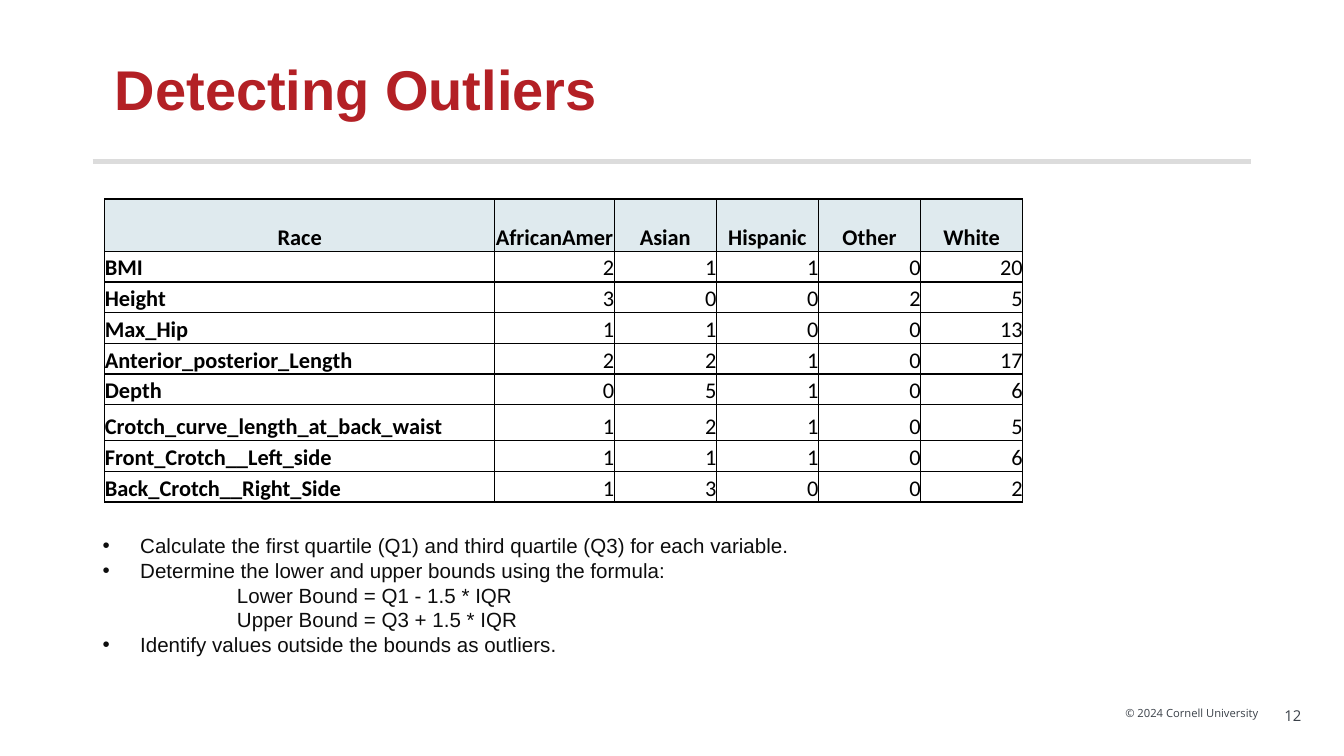
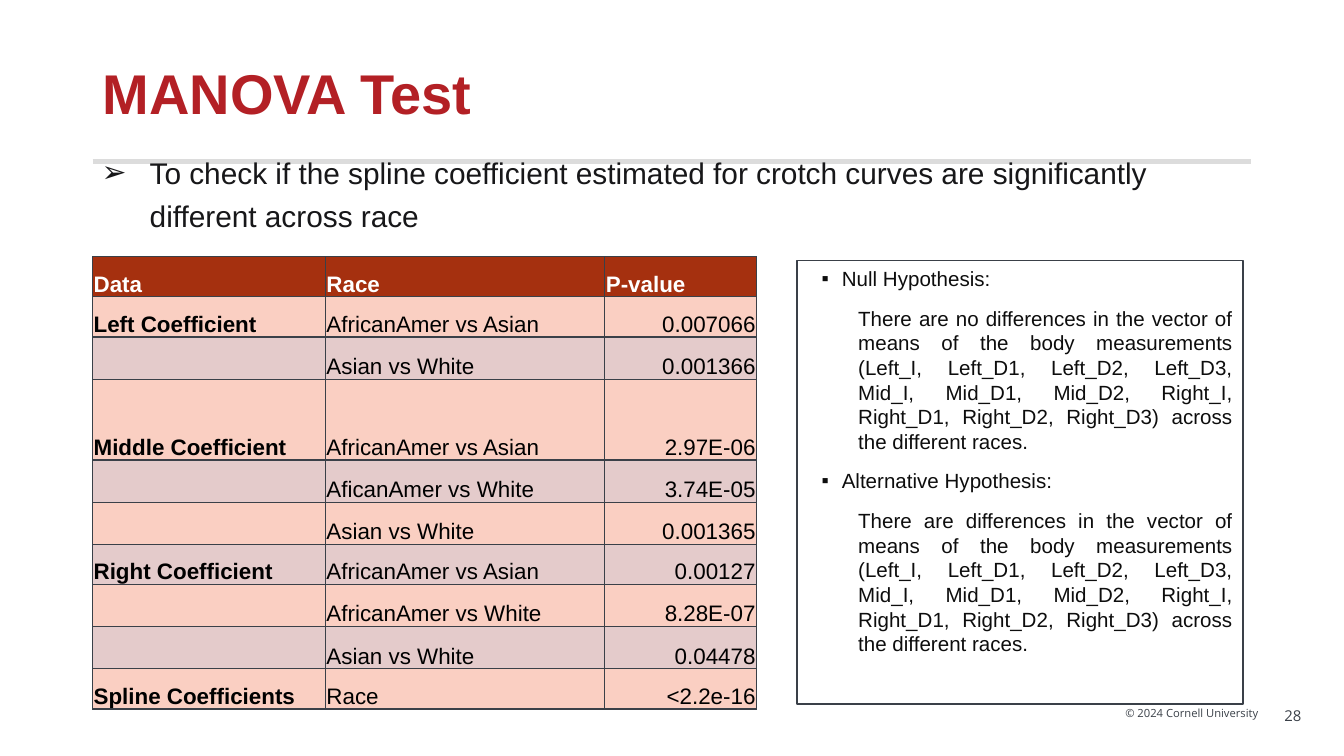
from lxml import etree
from pptx import Presentation
from pptx.dml.color import RGBColor
from pptx.enum.shapes import MSO_CONNECTOR, MSO_SHAPE
from pptx.enum.text import MSO_ANCHOR, MSO_AUTO_SIZE, PP_ALIGN
from pptx.oxml.ns import qn
from pptx.util import Cm, Pt

LEFT, CENTER, RIGHT = PP_ALIGN.LEFT, PP_ALIGN.CENTER, PP_ALIGN.RIGHT
JUSTIFY = PP_ALIGN.JUSTIFY
TOP, MIDDLE, BOTTOM = MSO_ANCHOR.TOP, MSO_ANCHOR.MIDDLE, MSO_ANCHOR.BOTTOM
NO_AUTOSIZE = MSO_AUTO_SIZE.NONE
STRAIGHT = MSO_CONNECTOR.STRAIGHT
RECTANGLE = MSO_SHAPE.RECTANGLE
TITLE_ONLY = 5

COLORS = {
    "title": "B32025",
    "rule": "DCDCDC",
    "slate": "3A4048",
    "body": "0D0D0D",
    "lead": "171719",
    "black": "000000",
    "white": "FFFFFF",
    "pale blue": "DFEAEE",
    "rust": "A5300F",
    "peach": "FACFC2",
    "rose": "E4CBCB",
}

OUTLIERS = [
    ["Race", "AfricanAmer", "Asian", "Hispanic", "Other", "White"],
    ["BMI", 2, 1, 1, 0, 20],
    ["Height", 3, 0, 0, 2, 5],
    ["Max_Hip", 1, 1, 0, 0, 13],
    ["Anterior_posterior_Length", 2, 2, 1, 0, 17],
    ["Depth", 0, 5, 1, 0, 6],
    ["Crotch_curve_length_at_back_waist", 1, 2, 1, 0, 5],
    ["Front_Crotch__Left_side", 1, 1, 1, 0, 6],
    ["Back_Crotch__Right_Side", 1, 3, 0, 0, 2],
]
P_VALUES = [
    ["Data", "Race", "P-value"],
    ["Left Coefficient", "AfricanAmer vs Asian", "0.007066"],
    ["", "Asian vs White", "0.001366"],
    ["Middle Coefficient", "AfricanAmer vs Asian", "2.97E-06"],
    ["", "AficanAmer vs White", "3.74E-05"],
    ["", "Asian vs White", "0.001365"],
    ["Right Coefficient", "AfricanAmer vs Asian", "0.00127"],
    ["", "AfricanAmer vs White", "8.28E-07"],
    ["", "Asian vs White", "0.04478"],
    ["Spline Coefficients", "Race", "<2.2e-16"],
]
MEASUREMENTS = (
    "differences in the vector of means of the body measurements "
    "(Left_I, Left_D1, Left_D2, Left_D3, Mid_I, Mid_D1, Mid_D2, Right_I, "
    "Right_D1, Right_D2, Right_D3) across the different races."
)


def rgb(name):
    return RGBColor.from_string(COLORS[name])


def add_bullet(paragraph, character, color):
    properties = paragraph._p.get_or_add_pPr()
    bullet_color = etree.SubElement(properties, qn("a:buClr"))
    etree.SubElement(bullet_color, qn("a:srgbClr"), val=COLORS[color])
    etree.SubElement(properties, qn("a:buFont"), typeface="Arial")
    etree.SubElement(properties, qn("a:buChar"), char=character)


def write(paragraph, text, size=11, font="Arial", color="body", bold=False,
          align=LEFT, bullet=None, indent=0, hanging=0, before=0, spacing=None):
    """Fill one paragraph; indent and hanging are in centimetres."""
    if bullet:
        add_bullet(paragraph, bullet, color)
    if indent:
        properties = paragraph._p.get_or_add_pPr()
        properties.set("marL", str(Cm(indent)))
        properties.set("indent", str(-Cm(hanging)))
    paragraph.alignment = align
    paragraph.space_before = Pt(before)
    if spacing:
        paragraph.line_spacing = spacing
    run = paragraph.add_run()
    run.text = str(text)
    run.font.size = Pt(size)
    run.font.name = font
    run.font.bold = bold
    run.font.color.rgb = rgb(color)


def prepare_frame(shape, anchor=TOP):
    frame = shape.text_frame
    frame.word_wrap = True
    frame.auto_size = NO_AUTOSIZE
    frame.vertical_anchor = anchor
    frame.margin_left = frame.margin_right = Cm(0.19)
    frame.margin_top = frame.margin_bottom = Cm(0.1)
    return frame


def write_paragraphs(frame, entries, **shared):
    """Write (text, format) pairs, each format added to the shared one."""
    for index, (text, style) in enumerate(entries):
        paragraph = frame.paragraphs[0] if index == 0 else frame.add_paragraph()
        settings = {**shared, **style}
        if index == 0:
            settings["before"] = 0
        write(paragraph, text, **settings)


def add_text_box(slide, left, top, width, height, entries, **shared):
    box = slide.shapes.add_textbox(Cm(left), Cm(top), Cm(width), Cm(height))
    write_paragraphs(prepare_frame(box), entries, **shared)


def add_framed_text(slide, left, top, width, height, entries, **shared):
    shape = slide.shapes.add_shape(RECTANGLE, Cm(left), Cm(top), Cm(width), Cm(height))
    shape.shadow.inherit = False
    shape.fill.background()
    shape.line.color.rgb = rgb("slate")
    shape.line.width = Pt(0.75)
    write_paragraphs(prepare_frame(shape), entries, **shared)


def add_rule(slide):
    line = slide.shapes.add_connector(STRAIGHT, Cm(1.75), Cm(3.05), Cm(23.65), Cm(3.05))
    line.line.color.rgb = rgb("rule")
    line.line.width = Pt(3)
    etree.SubElement(line._element.spPr, qn("a:effectLst"))


def start_slide(presentation, title, title_left, title_top, number):
    """Add a slide with its footer, rule and title."""
    slide = presentation.slides.add_slide(presentation.slide_layouts[TITLE_ONLY])
    footer = {"font": "Open Sans", "color": "slate"}
    add_text_box(slide, 23.95, 13.26, 0.97, 0.46, [(number, {})],
                 size=8, align=CENTER, **footer)
    add_text_box(slide, 20.52, 13.26, 3.45, 0.46, [("© 2024 Cornell University", {})],
                 size=6, align=RIGHT, **footer)
    add_rule(slide)
    placeholder = slide.shapes.title
    placeholder.left, placeholder.top = Cm(title_left), Cm(title_top)
    placeholder.width, placeholder.height = Cm(16.43), Cm(1.7)
    write(prepare_frame(placeholder, MIDDLE).paragraphs[0], title,
          size=30, color="title", bold=True, spacing=0.9)
    return slide


def set_borders(cell, color):
    properties = cell._tc.get_or_add_tcPr()
    for index, side in enumerate(("lnL", "lnR", "lnT", "lnB")):
        border = etree.Element(qn(f"a:{side}"), w=str(Pt(0.75)))
        fill = etree.SubElement(border, qn("a:solidFill"))
        etree.SubElement(fill, qn("a:srgbClr"), val=COLORS[color])
        properties.insert(index, border)


def add_table(slide, left, top, widths, heights, rows, style_cell, border, margin, font):
    """Draw a table; style_cell(row, column) gives the fill and text format."""
    frame = slide.shapes.add_table(len(rows), len(widths), Cm(left), Cm(top),
                                   Cm(sum(widths)), Cm(sum(heights)))
    table = frame.table
    table.first_row = table.horz_banding = False
    for column, width in zip(table.columns, widths):
        column.width = Cm(width)
    for row, height in zip(table.rows, heights):
        row.height = Cm(height)
    for row_index, values in enumerate(rows):
        for column_index, value in enumerate(values):
            cell = table.cell(row_index, column_index)
            fill, style = style_cell(row_index, column_index)
            if fill:
                cell.fill.solid()
                cell.fill.fore_color.rgb = rgb(fill)
            else:
                cell.fill.background()
            set_borders(cell, border)
            cell.vertical_anchor = BOTTOM
            cell.margin_left = cell.margin_right = cell.margin_top = Cm(margin)
            cell.margin_bottom = 0
            if value != "":
                write(cell.text_frame.paragraphs[0], value, size=12, font=font, **style)


def style_outlier_cell(row, column):
    if row == 0:
        return "pale blue", {"color": "black", "bold": True, "align": CENTER}
    return None, {"color": "black", "bold": column == 0,
                  "align": RIGHT if column else LEFT}


def style_p_value_cell(row, column):
    if row == 0:
        return "rust", {"color": "white", "bold": True}
    return ("peach" if row % 2 else "rose"), {
        "color": "black", "bold": column == 0, "align": RIGHT if column == 2 else LEFT}


def add_outliers_slide(presentation):
    slide = start_slide(presentation, "Detecting Outliers", 1.98, 0.89, "12")
    add_table(slide, 1.98, 3.76, [7.37, 2.26] + [1.93] * 4,
              [0.99] + [0.58] * 5 + [0.68] + [0.58] * 2,
              OUTLIERS, style_outlier_cell, "black", 0, "Calibri")
    step = {"bullet": "•", "indent": 0.71, "hanging": 0.71}
    formula = {"indent": 2.54}
    add_text_box(slide, 1.75, 9.98, 18.67, 2.54, [
        ("Calculate the first quartile (Q1) and third quartile (Q3) for each variable.", step),
        ("Determine the lower and upper bounds using the formula:", step),
        ("Lower Bound = Q1 - 1.5 * IQR", formula),
        ("Upper Bound = Q3 + 1.5 * IQR", formula),
        ("Identify values outside the bounds as outliers.", step),
    ])


def add_manova_slide(presentation):
    slide = start_slide(presentation, "MANOVA Test", 1.75, 0.97, "28")
    add_table(slide, 1.75, 4.85, [4.4, 5.28, 2.87],
              [0.76] * 3 + [1.53] + [0.76] * 6,
              P_VALUES, style_p_value_cell, "slate", 0.02, "Arial")
    heading = {"bullet": "▪", "indent": 0.66, "hanging": 0.38}
    statement = {"indent": 0.97}
    add_framed_text(slide, 15.06, 4.93, 8.43, 8.38, [
        ("Null Hypothesis:", heading),
        (f"There are no {MEASUREMENTS}", statement),
        ("Alternative Hypothesis:", heading),
        (f"There are {MEASUREMENTS}", statement),
    ], align=JUSTIFY, before=8)
    add_text_box(slide, 1.37, 2.69, 21.74, 1.52, [
        ("To check if the spline coefficient estimated for crotch curves are "
         "significantly different across race", {}),
    ], size=16, color="lead", bullet="➢", indent=1.27, hanging=0.91, spacing=1.2)


def main():
    presentation = Presentation()
    presentation.slide_width, presentation.slide_height = Cm(25.4), Cm(14.29)
    add_outliers_slide(presentation)
    add_manova_slide(presentation)
    presentation.save("out.pptx")


if __name__ == "__main__":
    main()
